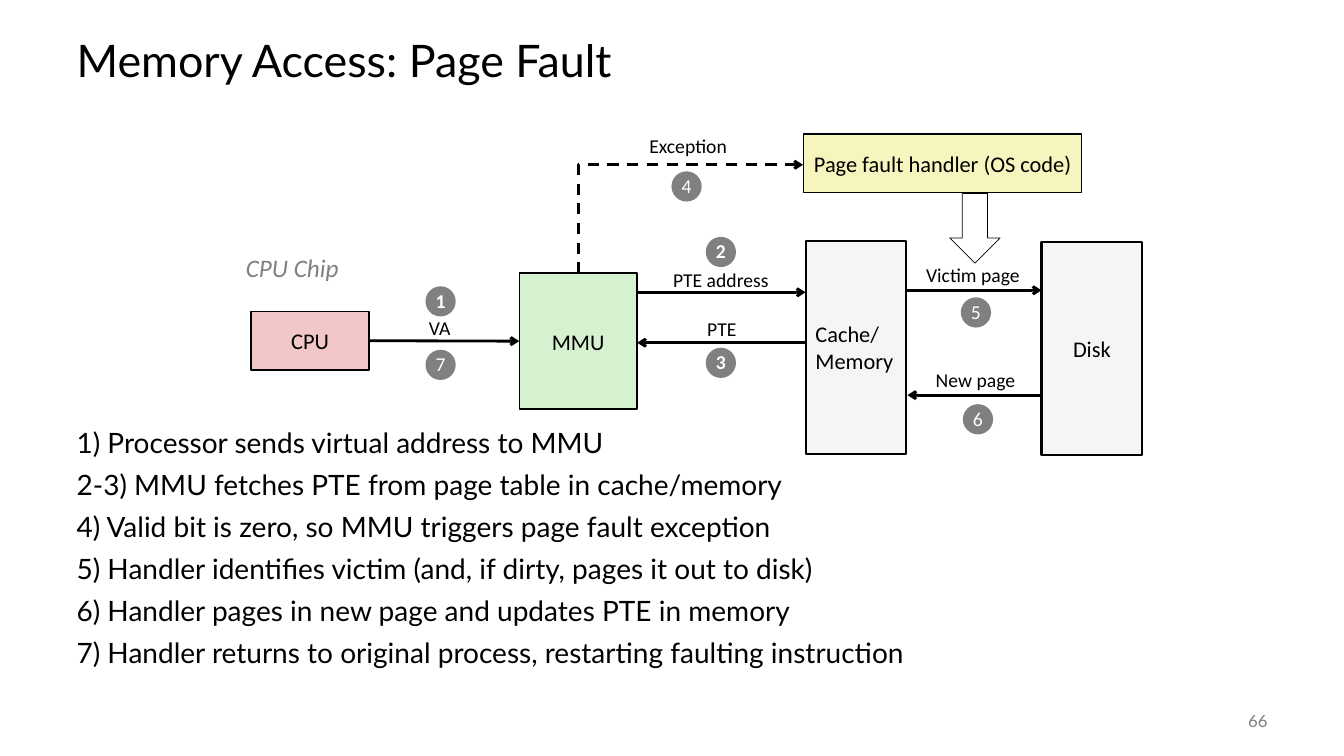
from lxml.etree import SubElement
from pptx import Presentation
from pptx.dml.color import RGBColor
from pptx.enum.dml import MSO_LINE
from pptx.enum.shapes import MSO_CONNECTOR as Connector, MSO_SHAPE as Shape
from pptx.enum.text import MSO_ANCHOR as Anchor, MSO_AUTO_SIZE as AutoSize, PP_ALIGN as Align
from pptx.oxml.ns import qn
from pptx.util import Pt

PX = 9144
BLACK = RGBColor(0x00, 0x00, 0x00)
WHITE = RGBColor(0xFF, 0xFF, 0xFF)
GRAY = RGBColor(0x80, 0x80, 0x80)
PALE_GRAY = RGBColor(0xF5, 0xF5, 0xF5)
GREEN = RGBColor(0xD5, 0xF1, 0xCF)
PINK = RGBColor(0xF1, 0xC7, 0xC7)
YELLOW = RGBColor(0xF6, 0xF5, 0xBD)
TEXT_FONT = "Lato"
DIAGRAM_FONT = "Calibri"
BADGE_SIZE = 30

STEPS = [
    "1) Processor sends virtual address to MMU",
    "2-3) MMU fetches PTE from page table in cache/memory",
    "4) Valid bit is zero, so MMU triggers page fault exception",
    "5) Handler identifies victim (and, if dirty, pages it out to disk)",
    "6) Handler pages in new page and updates PTE in memory",
    "7) Handler returns to original process, restarting faulting instruction",
]
LABELS = [
    ("VA", 415, 309, 42),
    ("PTE address", 656, 262, 118),
    ("PTE", 691, 310, 50),
    ("Victim page", 907, 257, 116),
    ("New page", 917, 361, 101),
    ("Exception", 633, 129, 99),
]
BADGES = [
    ("1", 422, 284, True),
    ("2", 700, 235, True),
    ("3", 700, 345, True),
    ("4", 666, 170, False),
    ("5", 953, 295, False),
    ("6", 955, 401, False),
    ("7", 422, 347, False),
]


def px(*lengths):
    return [length * PX for length in lengths]


def format_text(frame, size, color=BLACK, font=DIAGRAM_FONT, align=Align.CENTER,
                spacing=0.98, bold=False, italic=False):
    for paragraph in frame.paragraphs:
        paragraph.alignment = align
        paragraph.line_spacing = spacing
        for run in paragraph.runs:
            run.font.name = font
            run.font.size = Pt(size)
            run.font.color.rgb = color
            run.font.bold = bold
            run.font.italic = italic


def place(shape, left, top, width, height):
    shape.left, shape.top, shape.width, shape.height = px(left, top, width, height)


def fill_title(title, text):
    place(title, 66, 25, 1200, 75)
    frame = title.text_frame
    frame.text = text
    frame.vertical_anchor = Anchor.MIDDLE
    frame.auto_size = AutoSize.NONE
    format_text(frame, 32, font=TEXT_FONT, align=Align.LEFT, spacing=0.9)


def fill_steps(body, steps):
    place(body, 66, 425, 1200, 250)
    frame = body.text_frame
    frame.text = "\n".join(steps)
    frame.auto_size = AutoSize.NONE
    for index, paragraph in enumerate(frame.paragraphs):
        properties = paragraph._p.get_or_add_pPr()
        properties.set("marL", str(25 * PX))
        properties.set("indent", str(-25 * PX))
        SubElement(properties, qn("a:buNone"))
        paragraph.space_before = Pt(12.5 if index else 0)
    format_text(frame, 20, font=TEXT_FONT, align=Align.LEFT, spacing=0.73)


def add_block(slide, text, bounds, color, line_width=1, align=Align.CENTER):
    block = slide.shapes.add_shape(Shape.RECTANGLE, *px(*bounds))
    block.shadow.inherit = False
    block.fill.solid()
    block.fill.fore_color.rgb = color
    block.line.color.rgb = BLACK
    block.line.width = Pt(line_width)
    frame = block.text_frame
    frame.text = text
    frame.word_wrap = False
    frame.vertical_anchor = Anchor.MIDDLE
    format_text(frame, 16, align=align, spacing=1.0)
    return block


def add_badge(slide, number, left, top, bold):
    badge = slide.shapes.add_shape(Shape.OVAL, *px(left, top, BADGE_SIZE, BADGE_SIZE))
    badge.shadow.inherit = False
    badge.fill.solid()
    badge.fill.fore_color.rgb = GRAY
    badge.line.fill.background()
    frame = badge.text_frame
    frame.text = number
    frame.word_wrap = False
    frame.vertical_anchor = Anchor.MIDDLE
    format_text(frame, 14, color=WHITE, bold=bold)


def add_label(slide, text, left, top, width, height=33, size=14, **style):
    label = slide.shapes.add_textbox(*px(left, top, width, height))
    frame = label.text_frame
    frame.text = text
    frame.word_wrap = False
    frame.auto_size = AutoSize.SHAPE_TO_FIT_TEXT
    frame.vertical_anchor = Anchor.MIDDLE
    format_text(frame, size, **style)


def add_page_number(slide, number):
    box = slide.shapes.add_textbox(*px(1167, 695, 100, 40))
    frame = box.text_frame
    frame.text = number
    frame.word_wrap = True
    frame.vertical_anchor = Anchor.MIDDLE
    format_text(frame, 12, color=GRAY, font=TEXT_FONT, align=Align.RIGHT, spacing=1.0)


def add_arrow(slide, start, end, kind=Connector.STRAIGHT, dash=None):
    arrow = slide.shapes.add_connector(kind, *px(*start, *end))
    arrow.line.color.rgb = BLACK
    arrow.line.width = Pt(2)
    if dash:
        arrow.line.dash_style = dash
    SubElement(arrow.line._get_or_add_ln(), qn("a:tailEnd"), type="arrow")
    SubElement(arrow._element.spPr, qn("a:effectLst"))
    return arrow


def add_exception_arrow(slide, mmu, handler):
    start, corner_end = (574, 271), (797, 163)
    arrow = add_arrow(slide, start, corner_end, Connector.ELBOW, MSO_LINE.DASH)
    arrow.begin_connect(mmu, 0)
    arrow.end_connect(handler, 1)
    across, up = corner_end[0] - start[0], start[1] - corner_end[1]
    shift = (across - up) // 2
    place(arrow, start[0] + shift, corner_end[1] - shift, up, across)
    properties = arrow._element.spPr
    transform = properties.find(qn("a:xfrm"))
    transform.set("rot", "16200000")
    transform.set("flipV", "0")
    properties.find(qn("a:prstGeom")).set("prst", "bentConnector2")


def add_down_arrow(slide):
    arrow = slide.shapes.add_shape(Shape.DOWN_ARROW, *px(942, 192, 50, 69))
    arrow.shadow.inherit = False
    arrow.fill.background()
    arrow.line.color.rgb = BLACK
    arrow.line.width = Pt(0.5)


def main():
    presentation = Presentation()
    presentation.slide_width, presentation.slide_height = px(1333, 750)
    slide = presentation.slides.add_slide(presentation.slide_layouts[1])
    fill_title(slide.shapes.title, "Memory Access: Page Fault")
    fill_steps(slide.placeholders[1], STEPS)

    mmu = add_block(slide, "MMU", (515, 271, 117, 135), GREEN)
    add_block(slide, "Cache/\nMemory", (799, 239, 100, 211), PALE_GRAY, 1.5, Align.LEFT)
    cpu = add_block(slide, "CPU", (249, 309, 117, 58), PINK)
    add_block(slide, "Disk", (1033, 240, 100, 211), PALE_GRAY, 1.5)
    handler = add_block(slide, "Page fault handler (OS code)", (797, 133, 276, 58), YELLOW)

    address_arrow = add_arrow(slide, (366, 338), (515, 338))
    address_arrow.begin_connect(cpu, 3)
    address_arrow.end_connect(mmu, 1)
    add_arrow(slide, (632, 290), (799, 290))
    add_arrow(slide, (799, 340), (632, 340))
    add_arrow(slide, (900, 288), (1033, 288))
    add_arrow(slide, (1033, 392), (900, 392))
    add_exception_arrow(slide, mmu, handler)
    add_down_arrow(slide)

    add_label(slide, "CPU Chip", 234, 245, 116, 40, 18,
              color=GRAY, align=Align.LEFT, spacing=1.0, italic=True)
    for label in LABELS:
        add_label(slide, *label)
    for badge in BADGES:
        add_badge(slide, *badge)
    add_page_number(slide, "66")
    presentation.save("out.pptx")


if __name__ == "__main__":
    main()
